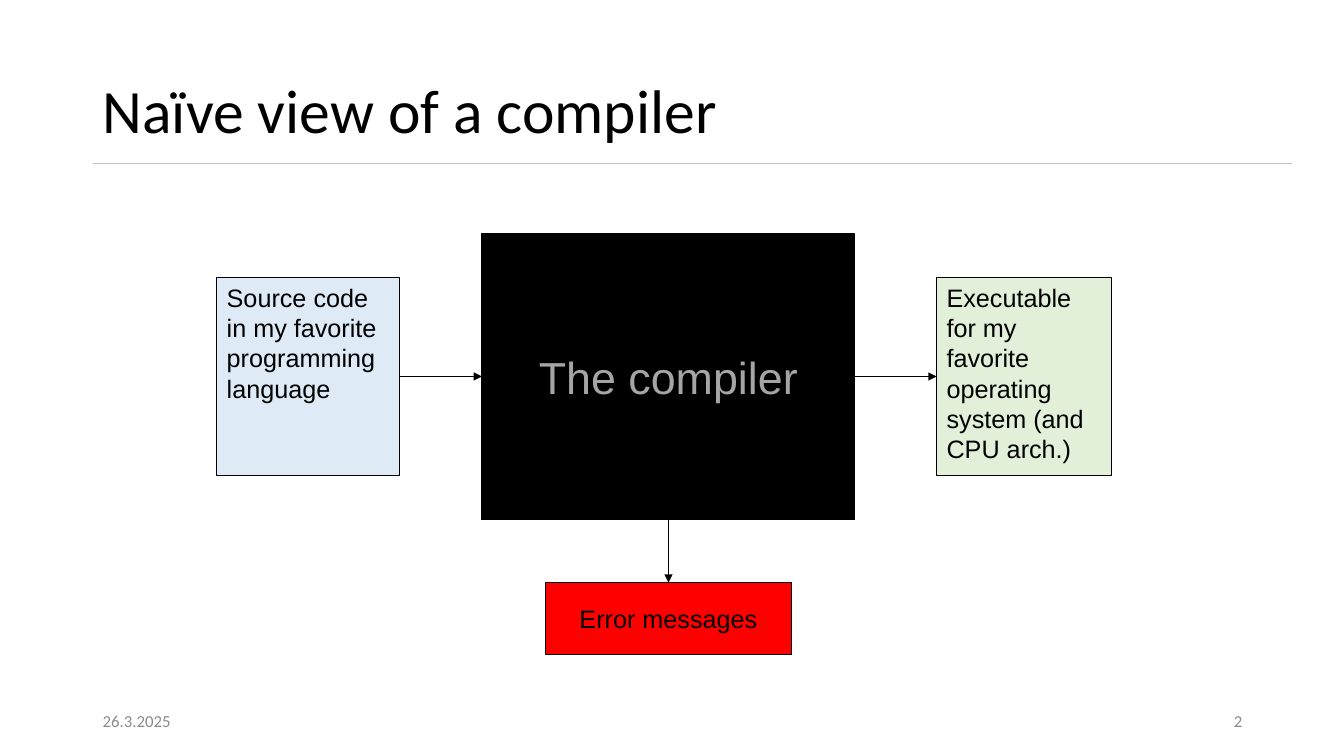
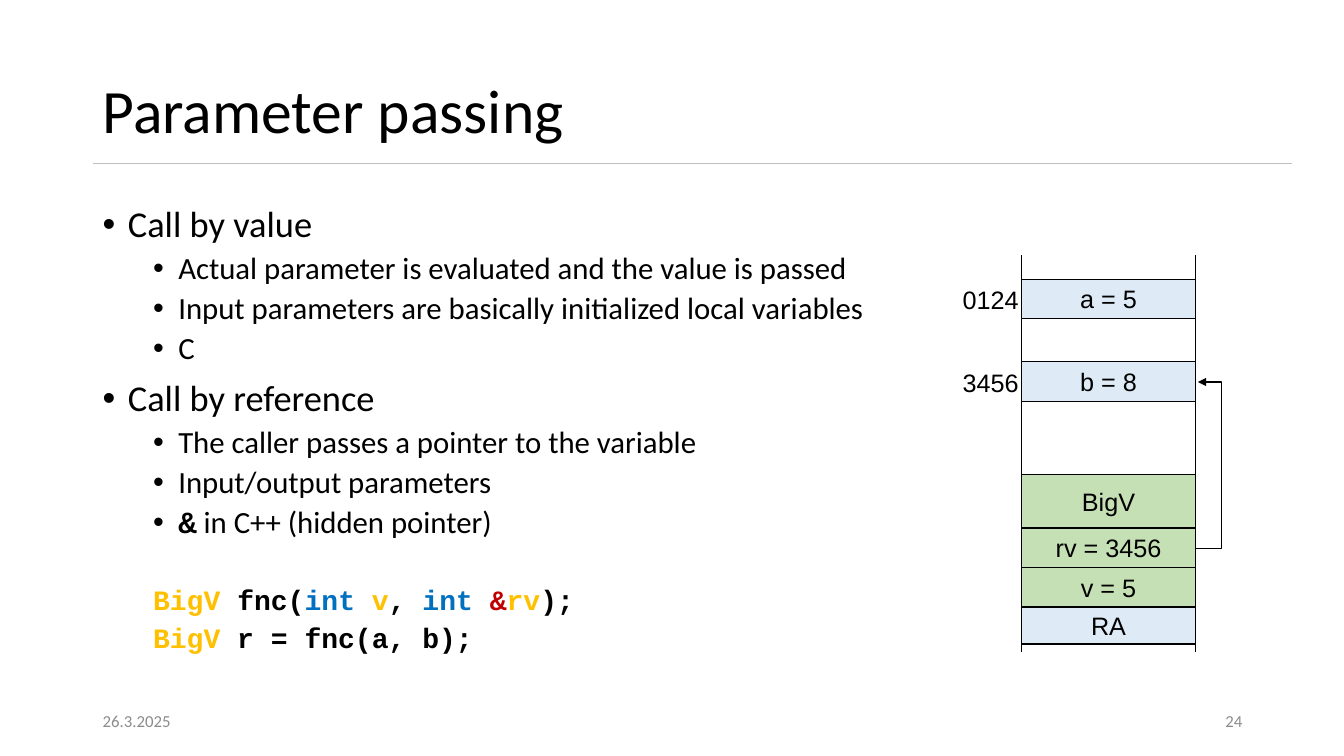
from lxml.etree import SubElement
from pptx import Presentation
from pptx.dml.color import RGBColor
from pptx.enum.shapes import MSO_CONNECTOR as Conn, MSO_SHAPE as Shape
from pptx.enum.text import MSO_ANCHOR as Anchor, PP_ALIGN as Align
from pptx.oxml.ns import qn
from pptx.util import Emu, Pt

PX = 9144
BLACK, GRAY, SILVER, RULE = "000000", "8C8C8C", "A5A5A5", "BFBFBF"
BLUE, MINT, GREEN, RED = "DEEBF7", "E2F0D9", "C5E0B4", "FF0000"
GOLD, KEYWORD, CRIMSON = "FFC000", "0070C0", "C00000"
HEAD, BODY, CODE = "Calibri", "Arial", "Courier New"
TOP, LEFT, BOTTOM, RIGHT = range(4)


def px(*values):
    return [Emu(v * PX) for v in values]


def rgb(color):
    return RGBColor.from_string(color)


class Deck:
    def __init__(self):
        self.prs = Presentation()
        self.prs.slide_width, self.prs.slide_height = px(1333, 750)
        self.s = None

    def slide(self, title, number):
        self.s = self.prs.slides.add_slide(self.prs.slide_layouts[6])
        self.line(92, 162, 1281, 162, RULE)
        tf = self.text(title, 92, 40, 1063, 145, HEAD, 44)
        tf.paragraphs[0].line_spacing = 0.9
        self.text("26.3.2025", 92, 695, 300, 40, HEAD, 12, GRAY)
        self.text(number, 942, 695, 300, 40, HEAD, 12, GRAY, Align.RIGHT)

    def style(self, r, font, size, color=BLACK, bold=False):
        r.font.name, r.font.size, r.font.bold = font, Pt(size), bold
        r.font.color.rgb = rgb(color)

    def fill_text(self, tf, text, font, size, color, align, anchor):
        tf.word_wrap = True
        tf.vertical_anchor = anchor
        tf.text = text
        p = tf.paragraphs[0]
        p.alignment = align
        self.style(p.runs[0], font, size, color)

    def text(self, text, x, y, w, h, font=BODY, size=18, color=BLACK,
             align=Align.LEFT):
        tf = self.s.shapes.add_textbox(*px(x, y, w, h)).text_frame
        self.fill_text(tf, text, font, size, color, align, Anchor.MIDDLE)
        return tf

    def box(self, text, x, y, w, h, fill, size=18, color=BLACK,
            align=Align.CENTER, anchor=Anchor.MIDDLE):
        sp = self.s.shapes.add_shape(Shape.RECTANGLE, *px(x, y, w, h))
        sp.shadow.inherit = False
        sp.fill.solid()
        sp.fill.fore_color.rgb = rgb(fill)
        sp.line.color.rgb = rgb(BLACK)
        sp.line.width = Pt(0.75)
        self.fill_text(sp.text_frame, text, BODY, size, color, align, anchor)
        return sp

    def line(self, x1, y1, x2, y2, color=BLACK, kind=Conn.STRAIGHT):
        c = self.s.shapes.add_connector(kind, *px(x1, y1, x2, y2))
        c.line.color.rgb = rgb(color)
        c.line.width = Pt(0.75)
        SubElement(c._element.spPr, qn("a:effectLst"))
        return c

    def arrowhead(self, c):
        SubElement(c.line._get_or_add_ln(), qn("a:tailEnd"), type="triangle")

    def arrow(self, start, start_site, end, end_site):
        c = self.line(0, 0, 0, 0)
        c.begin_connect(start, start_site)
        c.end_connect(end, end_site)
        self.arrowhead(c)

    def elbow(self, x1, y1, x2, y2, bend):
        c = self.line(x1, y1, x2, y2, kind=Conn.ELBOW)
        guides = c._element.spPr.prstGeom.get_or_add_avLst()
        ratio = round((bend - x1) / (x2 - x1) * 100000)
        SubElement(guides, qn("a:gd"), name="adj1", fmla=f"val {ratio}")
        self.arrowhead(c)

    def body(self, x, y, w, h):
        tf = self.s.shapes.add_textbox(*px(x, y, w, h)).text_frame
        tf.word_wrap = True
        return tf

    def paragraph(self, tf, runs, level, margin, before, bullet, size):
        first = not tf.paragraphs[0].runs
        p = tf.paragraphs[0] if first else tf.add_paragraph()
        p.level = level
        p.line_spacing = 0.9
        p.space_before = Pt(0 if first else before)
        pPr = p._p.get_or_add_pPr()
        pPr.set("marL", str(margin * PX))
        pPr.set("indent", str(-25 * PX if bullet else 0))
        if bullet:
            SubElement(pPr, qn("a:buFont"), typeface=BODY)
            SubElement(pPr, qn("a:buChar"), char="•")
        for text, font, color, bold in runs:
            r = p.add_run()
            r.text = text
            self.style(r, font, size, color, bold)

    def topic(self, tf, text):
        self.paragraph(tf, [(text, HEAD, BLACK, False)], 0, 25, 10, True, 26)

    def point(self, tf, text, code=""):
        runs = [(code, CODE, BLACK, True)] if code else []
        runs.append((text, HEAD, BLACK, False))
        self.paragraph(tf, runs, 1, 75, 5, True, 22)

    def code(self, tf, tokens, before=5):
        runs = [(text, CODE, color, True) for text, color in tokens]
        self.paragraph(tf, runs, 1, 50, before, False, 20)


def compiler_slide(d):
    d.slide("Naïve view of a compiler", "2")
    note = dict(align=Align.LEFT, anchor=Anchor.TOP)
    source = d.box("Source code in my favorite programming language",
                   215, 275, 181, 197, BLUE, **note)
    compiler = d.box("The compiler", 478, 232, 370, 283, BLACK, 32, SILVER)
    executable = d.box(
        "Executable for my favorite operating system (and CPU arch.)",
        929, 275, 173, 197, MINT, **note)
    errors = d.box("Error messages", 541, 578, 244, 71, RED)
    d.arrow(source, RIGHT, compiler, LEFT)
    d.arrow(compiler, RIGHT, executable, LEFT)
    d.arrow(compiler, BOTTOM, errors, TOP)


def parameter_slide(d):
    d.slide("Parameter passing", "24")
    tf = d.body(92, 200, 1150, 476)
    d.topic(tf, "Call by value")
    d.point(tf, "Actual parameter is evaluated and the value is passed")
    d.point(tf, "Input parameters are basically initialized local variables")
    d.point(tf, "C")
    d.topic(tf, "Call by reference")
    d.point(tf, "The caller passes a pointer to the variable")
    d.point(tf, "Input/output parameters")
    d.point(tf, " in C++ (hidden pointer)", code="&")
    d.code(tf, [("BigV ", GOLD), ("fnc(", BLACK), ("int ", KEYWORD),
                ("v", GOLD), (", ", BLACK), ("int ", KEYWORD),
                ("&", CRIMSON), ("rv", GOLD), (");", BLACK)], before=33)
    d.code(tf, [("BigV", GOLD), (" r = fnc(a, b);", BLACK)])

    left, width = 1013, 173
    right = left + width
    for x in (left, right):
        d.line(x, 253, x, 647)
    cells = [("a = 5", 277, 39, BLUE, "0124"),
             ("b = 8", 359, 39, BLUE, "3456"),
             ("BigV", 471, 52, GREEN, ""),
             ("rv = 3456", 524, 39, GREEN, ""),
             ("v = 5", 563, 39, GREEN, ""),
             ("RA", 603, 36, BLUE, "")]
    for text, top, height, fill, address in cells:
        d.box(text, left, top, width, height, fill)
        if address:
            d.text(address, left - 68, top, 76, 40)
    d.elbow(right, 544, right + 2, 379, right + 25)


def main():
    d = Deck()
    compiler_slide(d)
    parameter_slide(d)
    d.prs.save("out.pptx")


if __name__ == "__main__":
    main()
